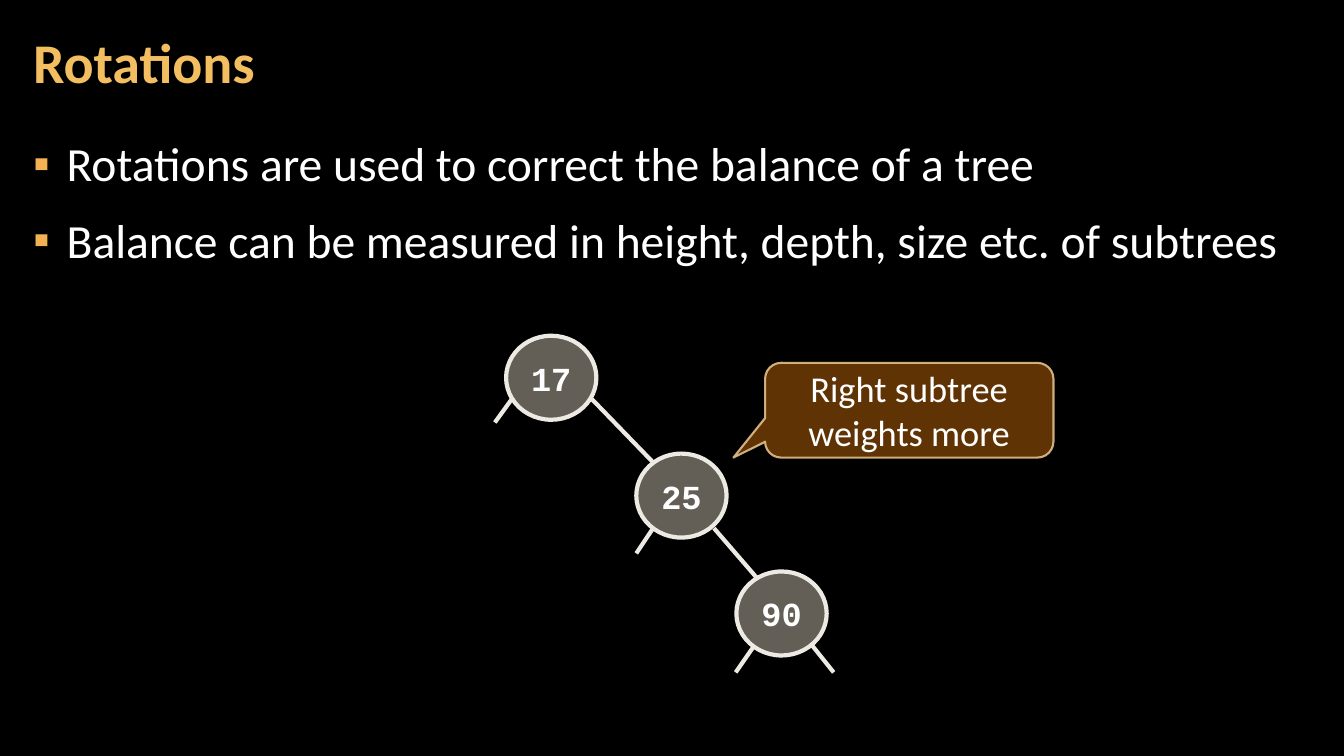
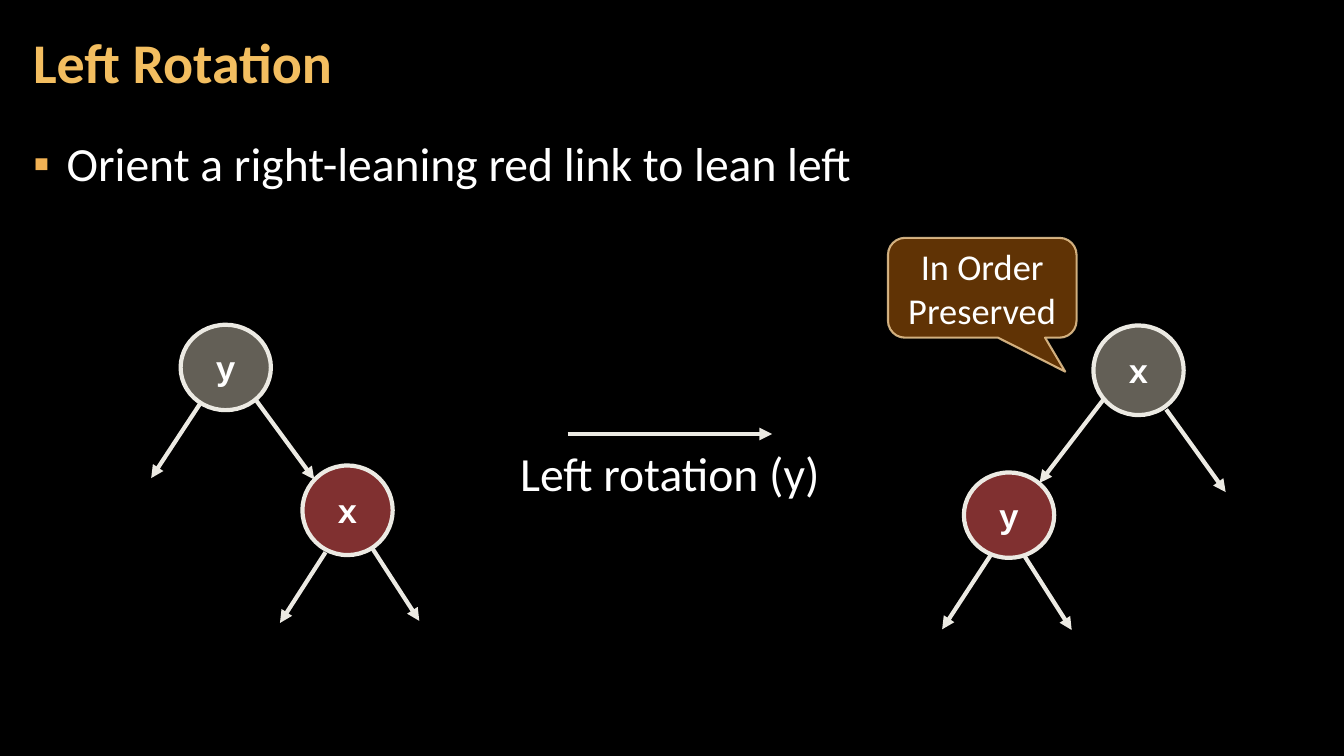
from lxml import etree
from pptx import Presentation
from pptx import util as u
from pptx.dml import color
from pptx.enum import shapes, text
from pptx.oxml import ns

COLORS = {
    "background": "000000", "title": "F3BE60", "bullet": "F2B254", "text": "FFFFFF",
    "edge": "ECEAE3", "black_node": "C7BFAC", "red_node": "FF6161",
    "callout": "663606", "callout_edge": "F8D49E",
}
FONTS = {
    "title": {"name": "Calibri", "size": u.Pt(40), "bold": True},
    "body": {"name": "Calibri", "size": u.Pt(34), "bold": False},
    "callout": {"name": "Calibri", "size": u.Pt(26), "bold": False},
    "node": {"name": "Courier New", "size": u.Pt(24), "bold": True},
}
SPACED = {"space_before": u.Pt(6), "space_after": u.Pt(6)}
BULLETED = {"line_spacing": 1.05, **SPACED}
CENTERED = {"alignment": text.PP_ALIGN.CENTER}
INSETS = {"margin_left": u.Pt(8.64), "margin_right": u.Pt(8.64),
          "margin_top": u.Pt(2.88), "margin_bottom": u.Pt(2.88)}
TITLE_BOX = (15, 3, 754, 87)
BODY_BOX = (15, 91, 930, 438)
NODE_WIDTH = 64.5


def rgb(key):
    """Return the named colour."""
    return color.RGBColor.from_string(COLORS[key])


def points(*lengths):
    """Turn numbers into lengths in points."""
    return [u.Pt(length) for length in lengths]


def apply(target, values):
    """Set each attribute of target from a dict."""
    for key, value in values.items():
        setattr(target, key, value)


def add_xml(parent, tag, **attributes):
    """Append a DrawingML element and return it."""
    return etree.SubElement(parent, ns.qn(tag), attributes)


def set_opacity(holder, percent):
    """Make the solid fill inside holder partly transparent."""
    solid = holder.find(ns.qn("a:solidFill"))
    add_xml(solid[0], "a:alpha", val=str(percent * 1000))


def write(frame, lines, font, ink="text", layout=None):
    """Write the lines as paragraphs with one font and layout."""
    for index, line in enumerate(lines):
        paragraph = frame.add_paragraph() if index else frame.paragraphs[0]
        apply(paragraph, layout or {})
        run = paragraph.add_run()
        run.text = line
        apply(run.font, FONTS[font])
        run.font.color.rgb = rgb(ink)


def add_text(slide, box, lines, font, ink="text", layout=None, **frame_values):
    """Add a wrapped text box and return its frame."""
    frame = slide.shapes.add_textbox(*points(*box)).text_frame
    apply(frame, {"word_wrap": True, **INSETS, **frame_values})
    write(frame, lines, font, ink, layout)
    return frame


def add_bullet(paragraph):
    """Give the paragraph a hanging square bullet."""
    properties = paragraph._p.get_or_add_pPr()
    properties.set("marL", str(u.Pt(24)))
    properties.set("indent", str(u.Pt(-24)))
    bullet_color = add_xml(properties, "a:buClr")
    add_xml(bullet_color, "a:srgbClr", val=COLORS["bullet"])
    add_xml(properties, "a:buFont", typeface="Arial")
    add_xml(properties, "a:buChar", char="▪")


def add_topic(prs, title, statements):
    """Add a slide with its title and bulleted statements."""
    slide = prs.slides.add_slide(prs.slide_layouts[6])
    add_text(slide, TITLE_BOX, [title], "title", "title", {"line_spacing": 0.9},
             vertical_anchor=text.MSO_ANCHOR.MIDDLE)
    body = add_text(slide, BODY_BOX, statements, "body", layout=BULLETED)
    for paragraph in body.paragraphs:
        add_bullet(paragraph)
    return slide


def add_edge(parent, start, end, arrow):
    """Draw a tree link or arrow from start to end."""
    edge = parent.shapes.add_connector(
        shapes.MSO_CONNECTOR.STRAIGHT, *points(*start, *end))
    edge.line.color.rgb = rgb("edge")
    edge.line.width = u.Pt(3)
    if arrow:
        add_xml(edge.line._ln, "a:tailEnd", type="triangle")
    add_xml(edge._element.spPr, "a:effectLst")


def add_outlined(parent, kind, box, fill, opacity, outline, width):
    """Add a see-through shape with an outline and centred text frame."""
    shape = parent.shapes.add_shape(kind, *points(*box))
    shape.shadow.inherit = False
    shape.fill.solid()
    shape.fill.fore_color.rgb = rgb(fill)
    set_opacity(shape._element.spPr, opacity)
    shape.line.color.rgb = rgb(outline)
    shape.line.width = u.Pt(width)
    shape.text_frame.vertical_anchor = text.MSO_ANCHOR.MIDDLE
    return shape


def add_tree(slide, origin, nodes, edges, arrow=False):
    """Draw links, then nodes, relative to the tree's top left corner."""
    left, top = origin
    tree = slide.shapes.add_group_shape()
    for x1, y1, x2, y2 in edges:
        add_edge(tree, (left + x1, top + y1), (left + x2, top + y2), arrow)
    for label, x, y, height, fill in nodes:
        box = (left + x, top + y, NODE_WIDTH, height)
        node = add_outlined(tree, shapes.MSO_SHAPE.OVAL, box, fill, 50, "edge", 3)
        node.text_frame.word_wrap = False
        write(node.text_frame, [label], "node", layout=CENTERED)


def add_callout(slide, box, remark, tip):
    """Add a speech bubble whose tip is relative to its centre."""
    callout = add_outlined(slide, shapes.MSO_SHAPE.ROUNDED_RECTANGULAR_CALLOUT,
                           box, "callout", 95, "callout_edge", 1.5)
    set_opacity(callout.line._ln, 80)
    for index, value in enumerate((*tip, 0.17)):
        callout.adjustments[index] = value
    callout.text_frame.word_wrap = True
    write(callout.text_frame, [remark], "callout", layout=CENTERED)


def build_rotations(prs):
    """Show a tree that leans to the right."""
    slide = add_topic(prs, "Rotations", [
        "Rotations are used to correct the balance of a tree",
        "Balance can be measured in height, depth, size etc. of subtrees"])
    nodes = [(label, x, row * 84.2, 60, "black_node")
             for row, (label, x) in enumerate([("17", 8), ("25", 101), ("90", 172.5)])]
    add_tree(slide, (353.5, 239.8), nodes, [
        (156.5, 137.5, 188, 174), (68.5, 44.5, 114, 91.5),
        (184.5, 222.5, 172, 240.5), (226, 220.5, 242, 240.5),
        (13, 44, 0, 62), (113, 137.5, 101, 155.5)])
    add_callout(slide, (546.5, 259.2, 206, 67.7), "Right subtree weights more",
                (-0.61, 0.5))


def build_left_rotation(prs):
    """Show the tree before and after a left rotation."""
    slide = add_topic(prs, "Left Rotation",
                      ["Orient a right-leaning red link to lean left"])
    add_tree(slide, (108, 232), [
        ("y", 21, 0, 61, "black_node"), ("x", 108, 100.5, 64, "red_node")], [
        (75, 54, 116.5, 110.5), (35.5, 55.5, 0, 109.5),
        (124.5, 162.5, 92, 213), (157.5, 159, 191.5, 211.5)], arrow=True)
    add_edge(slide, (405.5, 310), (551.5, 310), True)
    add_text(slide, (309, 317.5, 339, 47), ["Left rotation (y)"], "body",
             layout={"line_spacing": 0.95, **CENTERED, **SPACED})
    add_tree(slide, (673, 232), [
        ("x", 108, 0.5, 64, "black_node"), ("y", 15.5, 105.5, 61, "red_node")], [
        (115.5, 53, 69.5, 113), (35, 164, 0, 217.5),
        (59, 165.5, 92.5, 218), (160, 60.5, 202.5, 119.5)], arrow=True)
    add_callout(slide, (634.3, 169.9, 134.7, 71.3), "In Order Preserved",
                (0.44, 0.84))


def main():
    """Build and save the presentation."""
    prs = Presentation()
    apply(prs, {"slide_width": u.Pt(960), "slide_height": u.Pt(540)})
    backdrop = prs.slide_master.background.fill
    backdrop.solid()
    backdrop.fore_color.rgb = rgb("background")
    build_rotations(prs)
    build_left_rotation(prs)
    prs.save("out.pptx")


if __name__ == "__main__":
    main()
